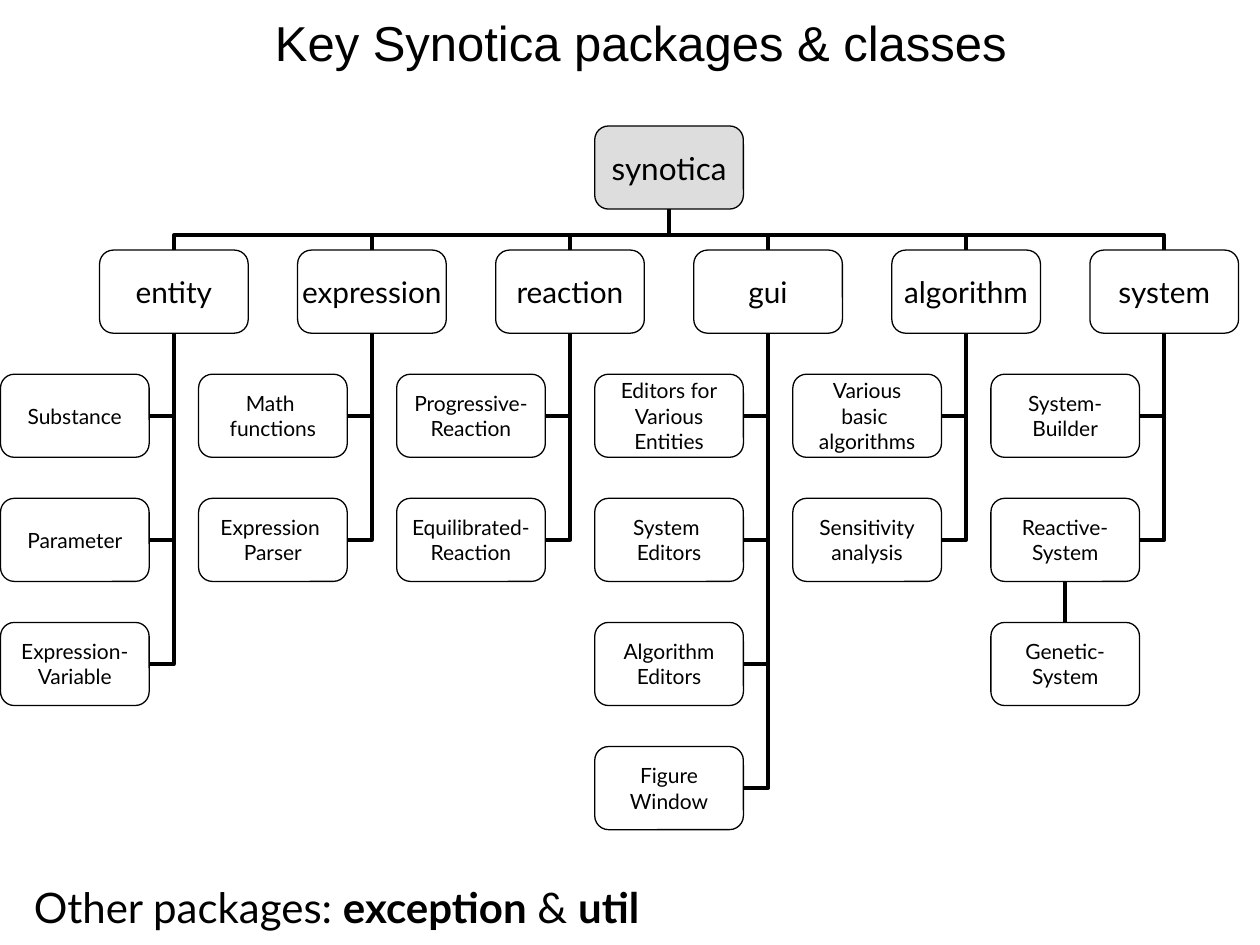
"""Build a slide with the package and class tree of Synotica."""
from dataclasses import dataclass

from lxml.etree import SubElement
from pptx import Presentation
from pptx.dml.color import RGBColor
from pptx.enum.shapes import MSO_CONNECTOR as Connector, MSO_SHAPE as Shape
from pptx.enum.text import MSO_ANCHOR as Anchor, MSO_AUTO_SIZE as AutoSize, PP_ALIGN as Align
from pptx.oxml.ns import qn
from pptx.util import Inches, Pt


@dataclass(frozen=True)
class Theme:
    ink: RGBColor = RGBColor(0, 0, 0)
    root_fill: RGBColor = RGBColor(0xDD, 0xDD, 0xDD)
    title_font: str = "Arial"
    body_font: str = "Lato"
    title_size: Pt = Pt(28)
    footer_size: Pt = Pt(24)
    root_size: Pt = Pt(18)
    package_size: Pt = Pt(17)
    class_size: Pt = Pt(12)
    outline: Pt = Pt(0.75)
    branch: Pt = Pt(2.25)


theme = Theme()
packages = {
    "entity": ["Substance", "Parameter", "Expression-\nVariable"],
    "expression": ["Math \nfunctions", "Expression \nParser"],
    "reaction": ["Progressive-\nReaction", "Equilibrated-\nReaction"],
    "gui": ["Editors for\nVarious\nEntities", "System \nEditors", "Algorithm\nEditors", "Figure\nWindow"],
    "algorithm": ["Various\nbasic \nalgorithms", "Sensitivity\nanalysis"],
    "system": ["System-\nBuilder", "Reactive-\nSystem"],
}
box_width, box_height = 1.18, 0.66
first_left, last_left = 0.79, 8.65
column_pitch = (last_left - first_left) / (len(packages) - 1)
root_left, root_top = 4.72, 1
row_tops = [root_top + 0.985 * row for row in range(6)]
root_center, root_bottom = root_left + box_width / 2, root_top + box_height
package_top, *class_tops = row_tops[1:]

presentation = Presentation()
presentation.slide_width, presentation.slide_height = Inches(10), Inches(7.5)
slide = presentation.slides.add_slide(presentation.slide_layouts[5])


def add_box(text, left, top, size):
    box = slide.shapes.add_shape(
        Shape.ROUNDED_RECTANGLE, Inches(left), Inches(top), Inches(box_width), Inches(box_height))
    box.shadow.inherit = False
    box.fill.background()
    box.line.color.rgb = theme.ink
    box.line.width = theme.outline
    frame = box.text_frame
    frame.margin_left = frame.margin_right = frame.margin_top = frame.margin_bottom = 0
    frame.word_wrap = False
    frame.vertical_anchor = Anchor.MIDDLE
    frame.text = text
    for paragraph in frame.paragraphs:
        paragraph.alignment = Align.CENTER
        paragraph.font.name = theme.body_font
        paragraph.font.size = size
        paragraph.font.color.rgb = theme.ink
    return box


def add_branch(kind, begin, end):
    branch = slide.shapes.add_connector(kind, *map(Inches, begin + end))
    branch.line.color.rgb = theme.ink
    branch.line.width = theme.branch
    properties = branch._element.spPr
    SubElement(properties, qn("a:effectLst"))
    return properties


title = slide.shapes.title
title.left, title.top, title.width, title.height = Inches(2), Inches(0), Inches(6.17), Inches(0.67)
title.text_frame.text = "Key Synotica packages & classes"
title.text_frame.vertical_anchor = Anchor.MIDDLE
title.text_frame.auto_size = AutoSize.NONE
heading = title.text_frame.paragraphs[0]
heading.alignment = Align.CENTER
heading.font.name = theme.title_font
heading.font.size = theme.title_size
heading.font.color.rgb = theme.ink

root_box = add_box("synotica", root_left, root_top, theme.root_size)
root_box.fill.solid()
root_box.fill.fore_color.rgb = theme.root_fill

for column, (package, classes) in enumerate(packages.items()):
    left = first_left + column * column_pitch
    center = left + box_width / 2
    middle_x, middle_y = (center + root_center) / 2, (package_top + root_bottom) / 2
    half_drop, half_span = (package_top - root_bottom) / 2, abs(center - root_center) / 2
    side = 1 if center < root_center else -1
    properties = add_branch(
        Connector.ELBOW,
        (middle_x + side * half_drop, middle_y + half_span),
        (middle_x - side * half_drop, middle_y - half_span))
    properties.find(qn("a:xfrm")).set("rot", str((90 if side == 1 else 270) * 60000))
    adjustments = properties.find(qn("a:prstGeom")).find(qn("a:avLst"))
    SubElement(adjustments, qn("a:gd"), name="adj1", fmla="val 35900")
    add_box(package, left, package_top, theme.package_size)

    class_left = left - column_pitch / 2
    for label, top in zip(classes, class_tops):
        properties = add_branch(
            Connector.ELBOW,
            (class_left + box_width, top + box_height / 2),
            (center, package_top + box_height))
        properties.find(qn("a:prstGeom")).set("prst", "bentConnector2")
        add_box(label, class_left, top, theme.class_size)

subclass_left = last_left - column_pitch / 2
subclass_center = subclass_left + box_width / 2
add_branch(Connector.STRAIGHT, (subclass_center, class_tops[2]), (subclass_center, class_tops[1] + box_height))
add_box("Genetic-\nSystem", subclass_left, class_tops[2], theme.class_size)

footer = slide.shapes.add_textbox(Inches(0.17), Inches(6.95), Inches(5.47), Inches(0.5))
footer.text_frame.word_wrap = False
footer.text_frame.auto_size = AutoSize.SHAPE_TO_FIT_TEXT
paragraph = footer.text_frame.paragraphs[0]
paragraph.font.name = theme.body_font
paragraph.font.size = theme.footer_size
paragraph.font.color.rgb = theme.ink
for text, bold in [("Other packages: ", False), ("exception", True), (" & ", False), ("util", True)]:
    run = paragraph.add_run()
    run.text = text
    run.font.bold = bold

presentation.save("out.pptx")
